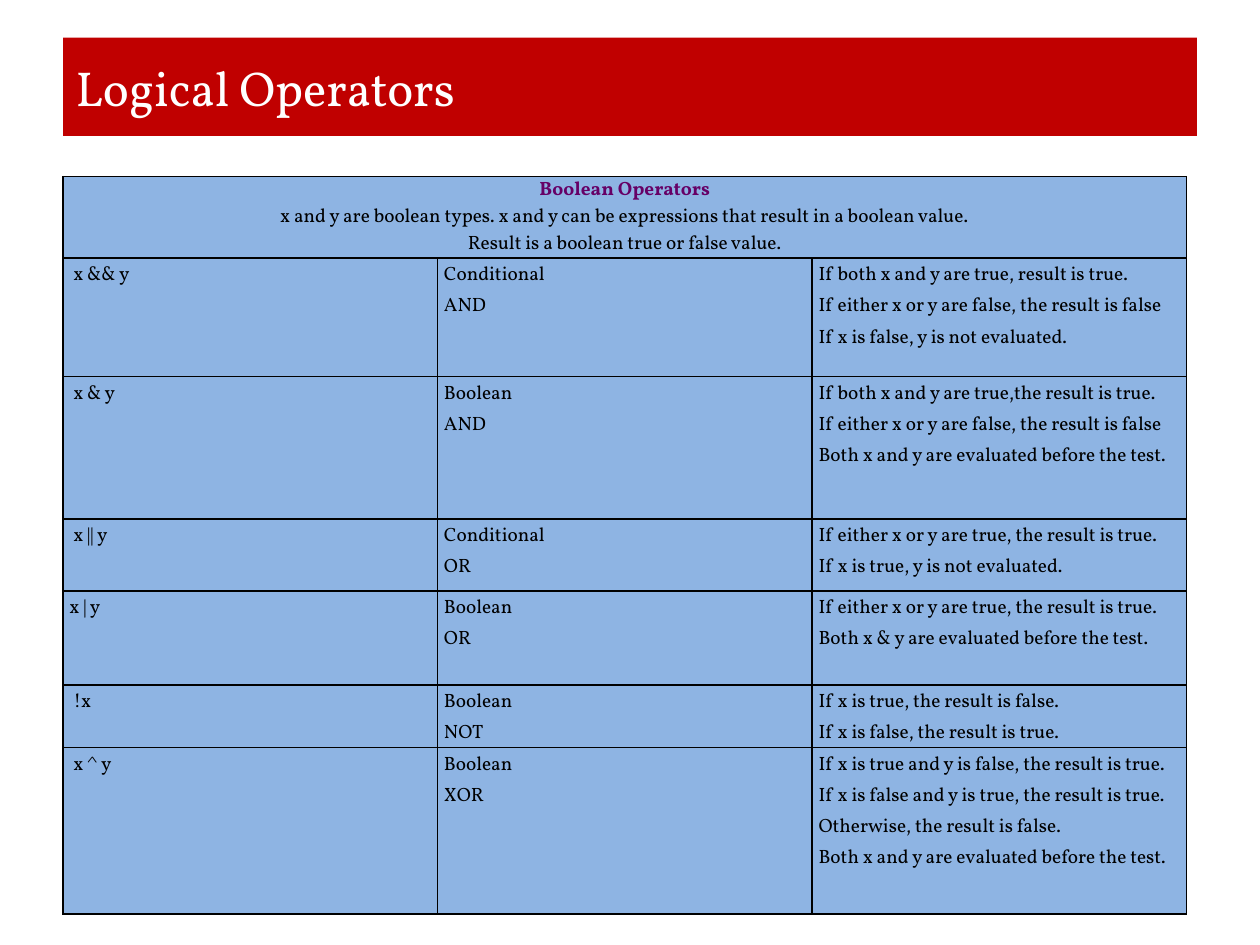
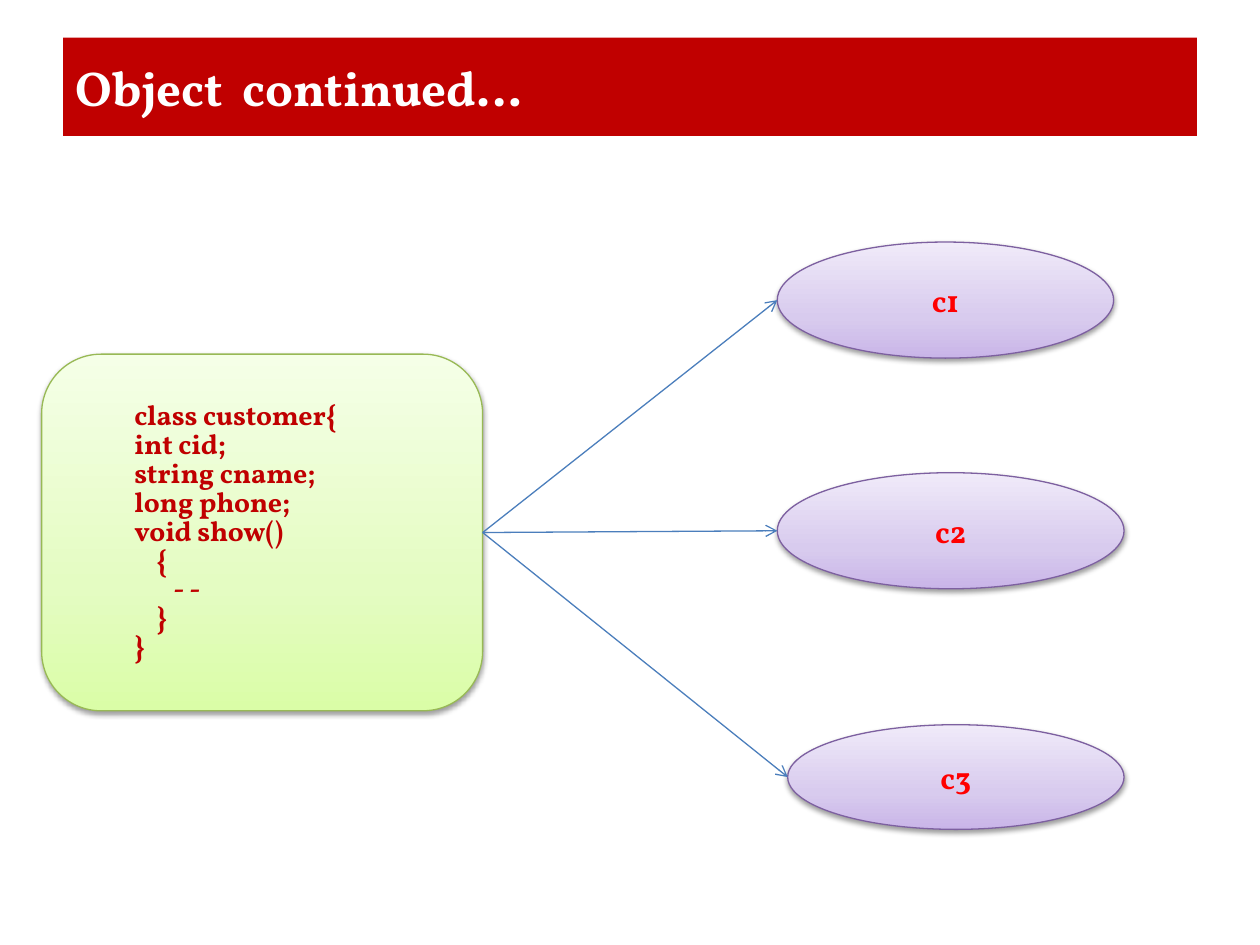
"""Build two slides on logical operators and on objects of a class."""
from dataclasses import dataclass

from lxml import etree
from pptx import Presentation
from pptx.dml.color import RGBColor
from pptx.enum.shapes import MSO_CONNECTOR, MSO_SHAPE
from pptx.enum.text import MSO_ANCHOR, MSO_AUTO_SIZE, PP_ALIGN
from pptx.oxml import parse_xml
from pptx.oxml.ns import nsdecls, qn
from pptx.presentation import Presentation as Deck
from pptx.shapes.autoshape import Shape
from pptx.slide import Slide
from pptx.table import _Cell as Cell
from pptx.text.text import _Paragraph as Para
from pptx.util import Cm, Pt

LEFT, CENTER, JUSTIFY = PP_ALIGN.LEFT, PP_ALIGN.CENTER, PP_ALIGN.JUSTIFY
MIDDLE, FIXED = MSO_ANCHOR.MIDDLE, MSO_AUTO_SIZE.NONE
ROUND, OVAL = MSO_SHAPE.ROUNDED_RECTANGLE, MSO_SHAPE.OVAL
STRAIGHT = MSO_CONNECTOR.STRAIGHT
TITLE_ONLY = 5


@dataclass(frozen=True)
class Theme:
    face: str = "Vollkorn"
    band: str = "C00000"
    white: str = "FFFFFF"
    black: str = "000000"
    head: str = "660066"
    cell: str = "8EB4E3"
    code: str = "C00000"
    label: str = "FF0000"
    arrow: str = "4B7EBC"
    green: tuple[str, ...] = ("DAFDA7", "E4FCC2", "F5FFE7")
    green_edge: str = "98B955"
    mauve: tuple[str, ...] = ("C9B5E8", "D8CBEE", "F0EAF9")
    mauve_edge: str = "7D60A0"
    stops: tuple[int, ...] = (0, 35, 100)
    title_size: float = 28
    cell_size: float = 11
    code_size: float = 16
    label_size: float = 18
    edge: float = 0.75
    grid: float = 1


@dataclass(frozen=True)
class Box:
    left: float
    top: float
    width: float
    height: float


@dataclass(frozen=True)
class Node:
    label: str
    box: Box


@dataclass(frozen=True)
class Rule:
    height: float
    sign: str
    name: str
    result: str


THEME = Theme()
BAND = Box(1.27, 0.76, 22.86, 1.98)
GRID = Box(1.27, 3.56, 22.65, 14.43)
HEAD_HEIGHT = 1.4
HEAD = "Boolean Operators"
INTRO = """x and y are boolean types. x and y can be expressions that result in a boolean value.
Result is a boolean true or false value."""
RULES = (
    Rule(2.39, " x && y", "Conditional\nAND",
         "If both x and y are true, result is true.\n"
         "If either x or y are false, the result is false\n"
         "If x is false, y is not evaluated."),
    Rule(2.87, " x & y", "Boolean\nAND",
         "If both x and y are true,the result is true.\n"
         "If either x or y are false, the result is false\n"
         "Both x and y are evaluated before the test."),
    Rule(1.45, " x || y", "Conditional\nOR",
         "If either x or y are true, the result is true.\n"
         "If x is true, y is not evaluated."),
    Rule(1.9, "x | y", "Boolean\nOR",
         "If either x or y are true, the result is true.\n"
         "Both x & y are evaluated before the test."),
    Rule(1.07, " !x", "Boolean\nNOT",
         "If x is true, the result is false.\n"
         "If x is false, the result is true."),
    Rule(3.35, " x ^ y", "Boolean\nXOR",
         "If x is true and y is false, the result is true.\n"
         "If x is false and y is true, the result is true.\n"
         "Otherwise, the result is false.\n"
         "Both x and y are evaluated before the test."),
)
CODE_BOX = Box(0.84, 7.14, 8.89, 7.19)
CODE = """class customer{
int cid;
string cname;
long phone;
void show()
    {
       - -
    }
}"""
NODES = (
    Node("c1", Box(15.67, 4.88, 6.78, 2.34)),
    Node("c2", Box(15.67, 9.53, 6.99, 2.34)),
    Node("c3", Box(15.88, 14.61, 6.78, 2.11)),
)


def place(box: Box) -> tuple[Cm, Cm, Cm, Cm]:
    return Cm(box.left), Cm(box.top), Cm(box.width), Cm(box.height)


def write(para: Para, text: str, size: float, color: str,
          bold: bool = False, align: PP_ALIGN = LEFT) -> None:
    para.text = text
    para.alignment = align
    font = para.font
    font.name, font.size, font.bold = THEME.face, Pt(size), bold
    font.color.rgb = RGBColor.from_string(color)


def add_slide(deck: Deck, text: str, bold: bool = False) -> Slide:
    slide = deck.slides.add_slide(deck.slide_layouts[TITLE_ONLY])
    title = slide.shapes.title
    title.left, title.top, title.width, title.height = place(BAND)
    title.fill.solid()
    title.fill.fore_color.rgb = RGBColor.from_string(THEME.band)
    frame = title.text_frame
    frame.auto_size, frame.vertical_anchor = FIXED, MIDDLE
    write(frame.paragraphs[0], text, THEME.title_size, THEME.white, bold)
    return slide


def style_cell(cell: Cell) -> None:
    props = cell._tc.get_or_add_tcPr()
    for side in "LRTB":
        props.append(parse_xml(
            f'<a:ln{side} {nsdecls("a")} w="{Pt(THEME.grid)}"><a:solidFill>'
            f'<a:srgbClr val="{THEME.black}"/></a:solidFill></a:ln{side}>'))
    cell.fill.solid()
    cell.fill.fore_color.rgb = RGBColor.from_string(THEME.cell)
    cell.margin_left = cell.margin_right = Cm(0.13)
    cell.margin_top = cell.margin_bottom = 0


def add_rules(slide: Slide) -> None:
    table = slide.shapes.add_table(len(RULES) + 1, 3, *place(GRID)).table
    table.first_row = table.horz_banding = False
    for col in table.columns:
        col.width = Cm(GRID.width / 3)
    for cell in table.iter_cells():
        style_cell(cell)
    table.rows[0].height = Cm(HEAD_HEIGHT)
    head = table.cell(0, 0)
    head.merge(table.cell(0, 2))
    frame = head.text_frame
    write(frame.paragraphs[0], HEAD, THEME.cell_size, THEME.head, True, CENTER)
    write(frame.add_paragraph(), INTRO, THEME.cell_size, THEME.black, align=CENTER)
    for row, rule in enumerate(RULES, 1):
        table.rows[row].height = Cm(rule.height)
        for col, text in enumerate((rule.sign, rule.name, rule.result)):
            para = table.cell(row, col).text_frame.paragraphs[0]
            para.line_spacing = 1.15
            write(para, text, THEME.cell_size, THEME.black)


def add_shape(slide: Slide, kind: MSO_SHAPE, box: Box,
              tints: tuple[str, ...], edge: str) -> Shape:
    shape = slide.shapes.add_shape(kind, *place(box))
    stops = "".join(f'<a:gs pos="{pos * 1000}"><a:srgbClr val="{tint}"/></a:gs>'
                    for pos, tint in zip(THEME.stops, tints))
    shape._element.spPr.append(parse_xml(
        f'<a:gradFill {nsdecls("a")} rotWithShape="1"><a:gsLst>{stops}</a:gsLst>'
        '<a:lin ang="16200000" scaled="0"/></a:gradFill>'))
    shape.line.color.rgb = RGBColor.from_string(edge)
    shape.line.width = Pt(THEME.edge)
    shape.shadow.inherit = False
    shape._element.spPr.find(qn("a:effectLst")).append(parse_xml(
        f'<a:outerShdw {nsdecls("a")} blurRad="{Pt(3.1)}" dist="{Pt(1.6)}" '
        f'dir="5400000" rotWithShape="0"><a:srgbClr val="{THEME.black}">'
        '<a:alpha val="38000"/></a:srgbClr></a:outerShdw>'))
    shape.text_frame.vertical_anchor = MIDDLE
    return shape


def add_code(slide: Slide) -> Shape:
    shape = add_shape(slide, ROUND, CODE_BOX, THEME.green, THEME.green_edge)
    frame = shape.text_frame
    for num, line in enumerate(CODE.splitlines()):
        para = frame.add_paragraph() if num else frame.paragraphs[0]
        para._p.get_or_add_pPr().set("marL", str(Cm(1.27)))
        para.line_spacing = 0.86
        write(para, line, THEME.code_size, THEME.code, True, JUSTIFY)
    return shape


def add_node(slide: Slide, node: Node) -> Shape:
    shape = add_shape(slide, OVAL, node.box, THEME.mauve, THEME.mauve_edge)
    write(shape.text_frame.paragraphs[0], node.label, THEME.label_size,
          THEME.label, True, CENTER)
    return shape


def add_arrow(slide: Slide, start: Shape, end: Shape) -> None:
    line = slide.shapes.add_connector(
        STRAIGHT, start.left + start.width, start.top + start.height // 2,
        end.left, end.top + end.height // 2)
    line.line.color.rgb = RGBColor.from_string(THEME.arrow)
    line.line.width = Pt(THEME.edge)
    etree.SubElement(line.line._get_or_add_ln(), qn("a:tailEnd"), type="arrow")
    etree.SubElement(line._element.spPr, qn("a:effectLst"))


def main() -> None:
    deck = Presentation()
    deck.slide_width, deck.slide_height = Cm(25.4), Cm(19.05)
    add_rules(add_slide(deck, "Logical Operators"))
    slide = add_slide(deck, "Object  continued…", True)
    code = add_code(slide)
    nodes = [add_node(slide, node) for node in NODES]
    for node in nodes:
        add_arrow(slide, code, node)
    deck.save("out.pptx")


if __name__ == "__main__":
    main()
